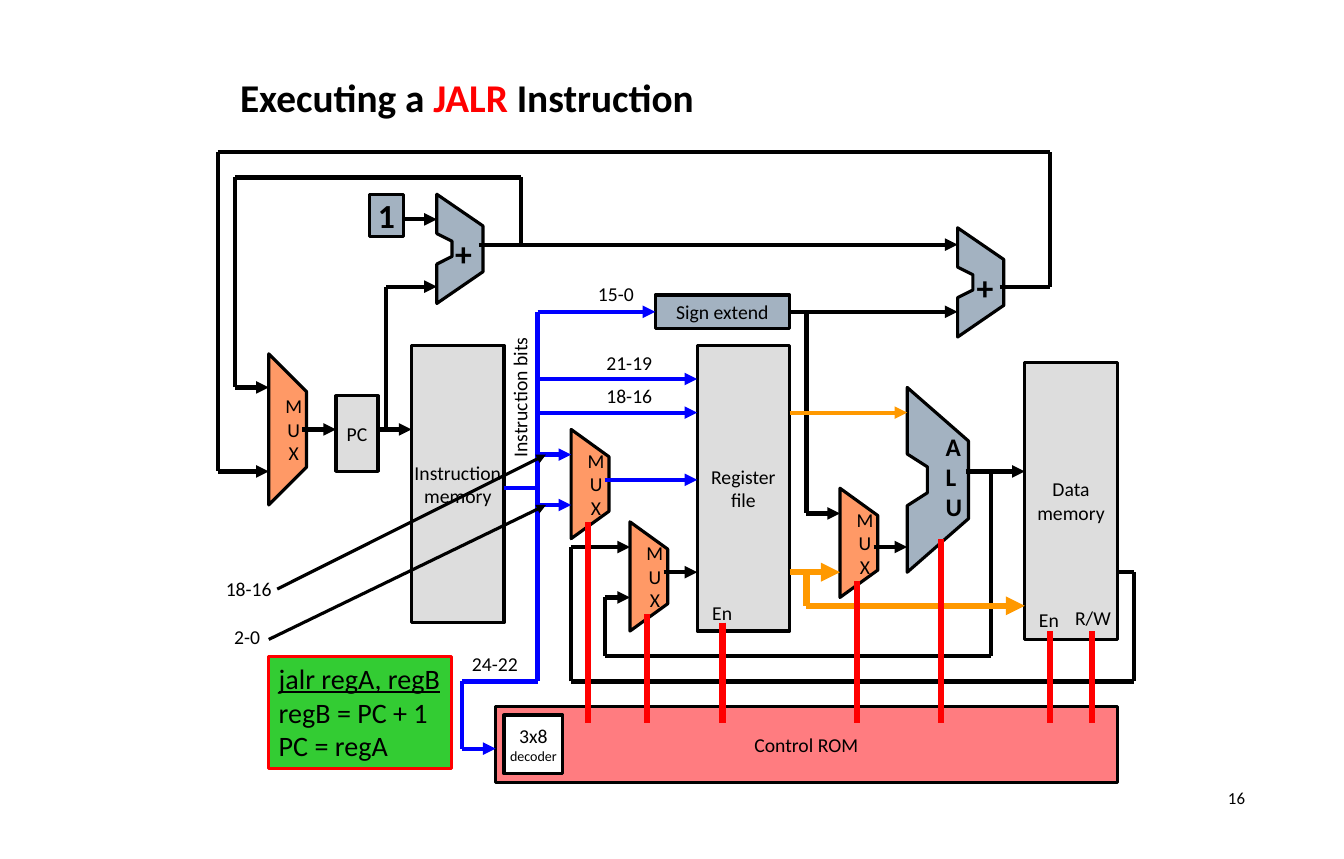
import pptx
import pptx.dml.color
import pptx.enum.shapes
import pptx.enum.text
import pptx.oxml
import pptx.oxml.ns
import pptx.util

RGBColor = pptx.dml.color.RGBColor
Align = pptx.enum.text.PP_ALIGN
Anchor = pptx.enum.text.MSO_ANCHOR

BLACK = RGBColor(0x00, 0x00, 0x00)
WHITE = RGBColor(0xFF, 0xFF, 0xFF)
GRAY = RGBColor(0xDD, 0xDD, 0xDD)
STEEL = RGBColor(0xA3, 0xB2, 0xC1)
SALMON = RGBColor(0xFF, 0x7C, 0x80)
PEACH = RGBColor(0xFF, 0x99, 0x66)
GREEN = RGBColor(0x33, 0xCC, 0x33)
RED = RGBColor(0xFF, 0x00, 0x00)
BLUE = RGBColor(0x00, 0x00, 0xFF)
ORANGE = RGBColor(0xFF, 0x99, 0x00)

SLIDE_WIDTH = pptx.util.Inches(13.3)
SLIDE_HEIGHT = pptx.util.Inches(8.5)
UNIT = SLIDE_WIDTH / 160
TOP = pptx.util.Inches(0.01)
FONT = "Calibri"
OUTLINE = 2.25
WIRE = 3
THICK = 4.5

BOXES = [
    ((40, 47, 5, 9), GRAY, ["PC"], {}),
    ((49, 41, 11, 33), GRAY, ["Instruction", "memory"], {}),
    ((83, 41, 11, 34), GRAY, ["Register", "file"], {}),
    ((122, 43, 11, 33), GRAY, ["Data", "memory"], {}),
    ((59, 84, 74, 9), SALMON, ["Control ROM"], {}),
    ((78, 35, 16, 4), STEEL, ["Sign extend"], {}),
    ((44, 23, 4, 5), STEEL, ["1"], {"size": 24, "bold": True}),
    ((60, 85, 7, 7), WHITE, ["3x8", [("decoder", {"size": 10})]], {}),
]

MUX_PROFILE = [(0, 1), (1, 0.75), (1, 0.25), (0, 0)]
MUXES = [(32, 42, 4.5, 18), (68, 51, 4.5, 13), (75, 62, 4.5, 13), (100, 58, 4.5, 13)]

ALU_PROFILE = [(1, 0.29), (0, 0), (0, 0.36), (0.33, 0.43), (0.33, 0.57),
               (0, 0.64), (0, 1), (1, 0.71)]
ALUS = [(52, 23, 5.5, 13), (114, 27, 5.5, 13), (108, 46, 7.3, 22)]

WIRES = [
    (BLACK, WIRE, True, [
        [(94, 37), (114, 37)],
        [(57, 29), (114, 29)],
        [(62, 29), (62, 21), (28, 21), (28, 46), (32, 46)],
        [(119, 34), (125, 34), (125, 18), (26, 18), (26, 56), (32, 56)],
        [(36, 51), (40, 51)],
        [(45, 51), (49, 51)],
        [(46, 51), (46, 34), (52, 34)],
        [(48, 26), (52, 26)],
        [(133, 68), (135, 68), (135, 81), (68, 81), (68, 65), (75, 65)],
        [(115, 56), (122, 56)],
        [(118, 56), (118, 78), (72, 78), (72, 71), (75, 71)],
        [(79, 68), (83, 68)],
        [(96, 37), (96, 61), (100, 61)],
        [(104, 65), (108, 65)],
    ]),
    (BLUE, WIRE, False, [[(60, 58), (64, 58)]]),
    (BLUE, WIRE, True, [
        [(64, 37), (78, 37)],
        [(64, 45), (83, 45)],
        [(64, 49), (83, 49)],
        [(64, 54), (68, 54)],
        [(64, 60), (68, 60)],
        [(72, 57), (83, 57)],
        [(64, 37), (64, 81), (55, 81), (55, 89), (59, 89)],
    ]),
    (ORANGE, WIRE, True, [[(94, 49), (108, 49)]]),
    (ORANGE, THICK, True, [
        [(94, 68), (100, 68)],
        [(96, 68), (96, 72), (122, 72)],
    ]),
]

CONTROL_ROW = 86
CONTROL_STARTS = [(70, 62), (77, 73), (102, 69), (112, 64), (125, 75), (130, 75), (86, 74)]
POINTERS = [[(33, 70), (65, 54)], [(32, 76), (65, 60)]]

BIG = {"size": 24, "bold": True}
LABELS = [
    ((53, 27, 4.5, 6), ["+"], BIG),
    ((115.1, 31, 4.5, 6), ["+"], BIG),
    ((111.4, 50.6, 4.5, 12.2), ["A", "L", "U"], {"size": 18, "bold": True}),
    ((126.8, 71.4, 6.7, 4.1), ["R/W"], {}),
    ((122.5, 71.6, 4.8, 4.1), ["En"], {}),
    ((83.6, 70.8, 4.8, 4.1), ["En"], {}),
    ((53.5, 45.1, 16.8, 4.1), ["Instruction bits"], {"rotation": 270}),
    ((70, 32.9, 6.7, 4.1), ["15-0"], {}),
    ((71, 41, 7.9, 4.1), ["21-19"], {}),
    ((71, 45, 7.9, 4.1), ["18-16"], {}),
    ((55, 76.9, 7.9, 4.1), ["24-22"], {}),
    ((25.7, 68, 7.9, 4.1), ["18-16"], {}),
    ((26.7, 73.7, 5.5, 4.1), ["2-0"], {}),
    ((27.4, 8, 105.3, 11), [[("Executing a ", {}), ("JALR", {"color": RED}),
                             (" Instruction", {})]],
     {"size": 28, "bold": True, "wrap": True}),
    ((122.7, 93, 26.7, 7), ["16"], {"size": 12, "align": Align.RIGHT, "wrap": True}),
]

EXAMPLE_AREA = (32, 78, 21.8, 13.4)
EXAMPLE = [[("jalr regA, regB", {"underline": True})], "regB = PC + 1", "PC = regA"]


def place(column, row):
    return round(column * UNIT), round(TOP + row * UNIT)


def area(column, row, width, height):
    return *place(column, row), round(width * UNIT), round(height * UNIT)


def write_text(shape, lines, size=14, bold=False, color=BLACK, align=Align.LEFT,
               anchor=Anchor.TOP, wrap=False, rotation=0):
    shape.rotation = rotation
    frame = shape.text_frame
    frame.word_wrap = wrap
    frame.vertical_anchor = anchor
    for index, line in enumerate(lines):
        paragraph = frame.add_paragraph() if index else frame.paragraphs[0]
        paragraph.alignment = align
        for text, changes in [(line, {})] if isinstance(line, str) else line:
            run = paragraph.add_run()
            run.text = text
            run.font.name = FONT
            run.font.size = pptx.util.Pt(changes.get("size", size))
            run.font.bold = bold
            run.font.underline = changes.get("underline", False)
            run.font.color.rgb = changes.get("color", color)


def paint(shape, fill, line=BLACK):
    shape.shadow.inherit = False
    shape.fill.solid()
    shape.fill.fore_color.rgb = fill
    shape.line.color.rgb = line
    shape.line.width = pptx.util.Pt(OUTLINE)
    return shape


def add_box(shapes, box, fill, line=BLACK):
    kind = pptx.enum.shapes.MSO_SHAPE.RECTANGLE
    return paint(shapes.add_shape(kind, *area(*box)), fill, line)


def add_outline(shapes, box, profile, fill):
    column, row, width, height = box
    points = [place(column + x * width, row + y * height) for x, y in profile]
    builder = shapes.build_freeform(*points[0])
    builder.add_line_segments(points[1:], close=True)
    return paint(builder.convert_to_shape(), fill)


def add_wire(shapes, points, color, width, arrow, sites):
    for start, end in zip(points, points[1:]):
        kind = pptx.enum.shapes.MSO_CONNECTOR.STRAIGHT
        connector = shapes.add_connector(kind, *place(*start), *place(*end))
        connector.line.color.rgb = color
        connector.line.width = pptx.util.Pt(width)
        if start in sites:
            connector.begin_connect(*sites[start])
        if end in sites:
            connector.end_connect(*sites[end])
        if arrow and end == points[-1]:
            connector.line._get_or_add_ln().append(pptx.oxml.parse_xml(
                f'<a:tailEnd {pptx.oxml.ns.nsdecls("a")} type="triangle"/>'))
        connector._element.spPr.append(pptx.oxml.parse_xml(
            f'<a:effectLst {pptx.oxml.ns.nsdecls("a")}/>'))


def main():
    presentation = pptx.Presentation()
    presentation.slide_width = SLIDE_WIDTH
    presentation.slide_height = SLIDE_HEIGHT
    shapes = presentation.slides.add_slide(presentation.slide_layouts[6]).shapes
    centered = {"align": Align.CENTER, "anchor": Anchor.MIDDLE}

    sites = {}
    for box, fill, lines, style in BOXES:
        shape = add_box(shapes, box, fill)
        write_text(shape, lines, **centered, **style)
        column, row, width, height = box
        middle = row + height / 2
        sites[(column, middle)] = (shape, 1)
        sites[(column + width, middle)] = (shape, 3)

    for box in MUXES:
        mux = add_outline(shapes, box, MUX_PROFILE, PEACH)
        write_text(mux, ["M", "U", "X"], **centered)
        mux.text_frame.margin_left = pptx.util.Inches(0.12)
        mux.text_frame.margin_right = 0
    for box in ALUS:
        add_outline(shapes, box, ALU_PROFILE, STEEL)

    for color, width, arrow, routes in WIRES:
        for route in routes:
            add_wire(shapes, route, color, width, arrow, sites)
    for column, row in CONTROL_STARTS:
        add_wire(shapes, [(column, row), (column, CONTROL_ROW)], RED, THICK, False, sites)

    for box, lines, style in LABELS:
        write_text(shapes.add_textbox(*area(*box)), lines, **style)
    for pointer in POINTERS:
        add_wire(shapes, pointer, BLACK, OUTLINE, True, sites)
    write_text(add_box(shapes, EXAMPLE_AREA, GREEN, RED), EXAMPLE, size=20)

    presentation.save("out.pptx")


if __name__ == "__main__":
    main()
